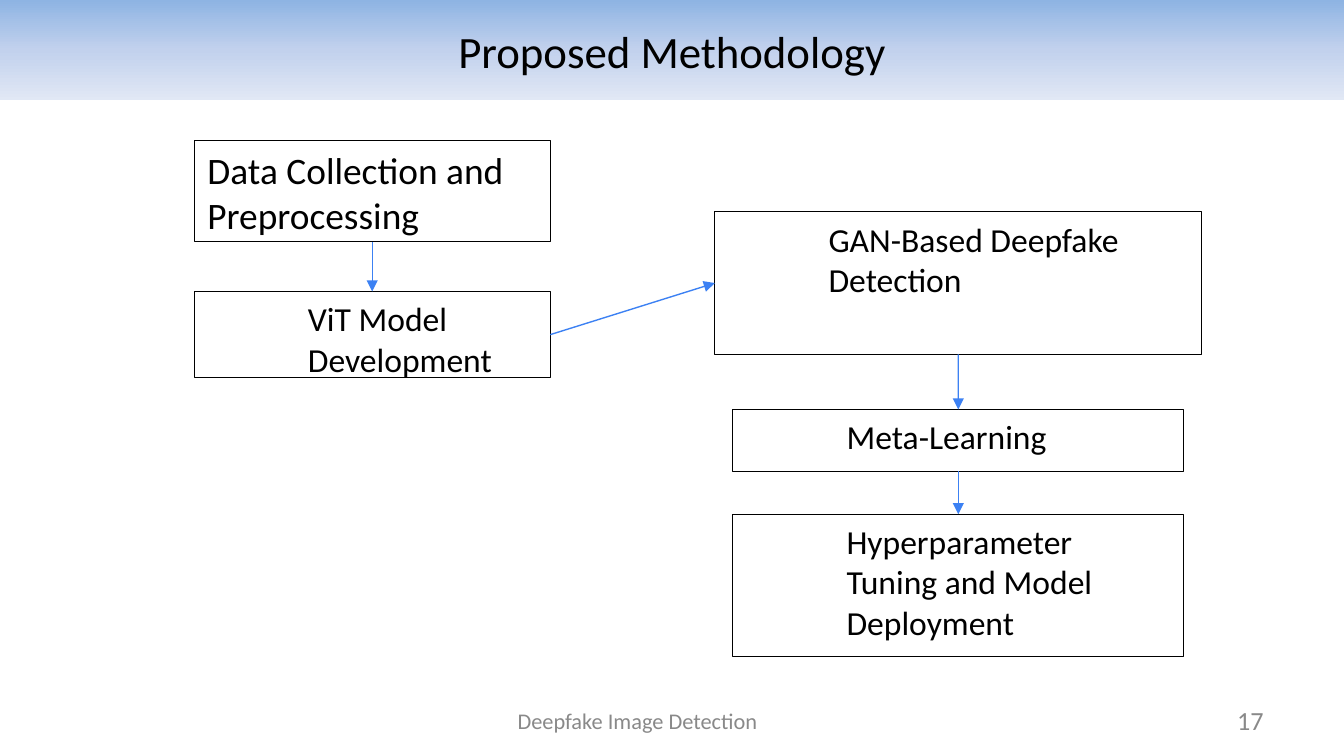
from dataclasses import dataclass

from lxml import etree
from pptx import Presentation
from pptx.dml.color import RGBColor
from pptx.enum.shapes import MSO_CONNECTOR, MSO_SHAPE
from pptx.enum.text import MSO_ANCHOR, PP_ALIGN
from pptx.oxml.ns import qn
from pptx.util import Cm, Pt

RECTANGLE = MSO_SHAPE.RECTANGLE
STRAIGHT = MSO_CONNECTOR.STRAIGHT
TOP, MIDDLE = MSO_ANCHOR.TOP, MSO_ANCHOR.MIDDLE
LEFT, CENTER, RIGHT = PP_ALIGN.LEFT, PP_ALIGN.CENTER, PP_ALIGN.RIGHT
SITE_TOP, SITE_LEFT, SITE_BOTTOM, SITE_RIGHT = range(4)


@dataclass(frozen=True)
class Theme:
    font: str = "Calibri"
    text: str = "000000"
    muted: str = "898989"
    box: str = "FFFFFF"
    arrow: str = "3C81F3"
    band: tuple = ((0, "8EB4E3"), (50, "C2D1ED"), (100, "E1E8F5"))
    title_size: int = 24
    lead_size: int = 20
    step_size: int = 18
    number_size: int = 14
    footer_size: int = 12
    box_line: float = 0.5
    arrow_line: float = 0.75


THEME = Theme()


def color(value):
    return RGBColor.from_string(value)


def write(shape, text, size, text_color=THEME.text, align=LEFT, anchor=TOP):
    frame = shape.text_frame
    frame.word_wrap = True
    frame.vertical_anchor = anchor
    frame.margin_left = Cm(0.25)
    frame.margin_right = Cm(0.35)
    frame.margin_top = frame.margin_bottom = Cm(0.13)
    if align != LEFT:
        frame.margin_right = Cm(0.25)
    paragraph = frame.paragraphs[0]
    paragraph.text = text
    paragraph.alignment = align
    paragraph.font.name = THEME.font
    paragraph.font.size = Pt(size)
    paragraph.font.color.rgb = color(text_color)
    return paragraph


def add_rectangle(slide, box):
    shape = slide.shapes.add_shape(RECTANGLE, *map(Cm, box))
    shape.shadow.inherit = False
    return shape


def add_title(slide, box, text):
    band = add_rectangle(slide, box)
    band.line.fill.background()
    band.fill.gradient()
    band.fill.gradient_angle = 270  # top to bottom
    stops = band.fill._xPr.find(qn("a:gradFill")).find(qn("a:gsLst"))
    for stop in list(stops):
        stops.remove(stop)
    for percent, value in THEME.band:
        stop = etree.SubElement(stops, qn("a:gs"), pos=str(percent * 1000))
        etree.SubElement(stop, qn("a:srgbClr"), val=value)
    write(band, text, THEME.title_size, align=CENTER, anchor=MIDDLE)


def add_step(slide, box, text, size=THEME.step_size, indent=1.9):
    step = add_rectangle(slide, box)
    step.fill.solid()
    step.fill.fore_color.rgb = color(THEME.box)
    step.line.color.rgb = color(THEME.text)
    step.line.width = Pt(THEME.box_line)
    paragraph = write(step, text, size)
    properties = paragraph._p.get_or_add_pPr()
    properties.set("marL", str(Cm(indent)))
    properties.set("indent", "0")
    return step


def add_arrow(slide, start, start_site, end, end_site):
    arrow = slide.shapes.add_connector(STRAIGHT, 0, 0, 0, 0)
    arrow.begin_connect(start, start_site)
    arrow.end_connect(end, end_site)
    arrow.line.color.rgb = color(THEME.arrow)
    arrow.line.width = Pt(THEME.arrow_line)
    etree.SubElement(arrow.line._get_or_add_ln(), qn("a:tailEnd"), type="triangle")
    etree.SubElement(arrow._element.spPr, qn("a:effectLst"))


def add_flow(slide, box):
    left, top, width, height = box
    right = left + width
    center = right - 4.6  # axis of the right column

    # Left column
    collection = add_step(slide, (left, top, 6.73, 1.91),
                          "Data Collection and Preprocessing",
                          THEME.lead_size, indent=0)
    vit = add_step(slide, (left, top + 2.85, 6.73, 1.63), "ViT Model Development")

    # Right column
    gan = add_step(slide, (center - 4.6, top + 1.34, 9.2, 2.7),
                   "GAN-Based Deepfake Detection")
    meta = add_step(slide, (center - 4.26, top + 5.08, 8.52, 1.17), "Meta-Learning")
    tuning = add_step(slide, (center - 4.26, top + height - 2.69, 8.52, 2.69),
                      "Hyperparameter Tuning and Model Deployment")

    # Arrows
    add_arrow(slide, vit, SITE_RIGHT, gan, SITE_LEFT)
    for upper, lower in ((collection, vit), (gan, meta), (meta, tuning)):
        add_arrow(slide, upper, SITE_BOTTOM, lower, SITE_TOP)


def add_footer(slide, box):
    left, top, width, height = box
    parts = (
        ("17", left + width - 5.92, 5.92, THEME.number_size, RIGHT),
        ("Deepfake Image Detection", left, 19.94, THEME.footer_size, CENTER),
    )
    for text, x, part_width, size, align in parts:
        part = slide.shapes.add_textbox(Cm(x), Cm(top), Cm(part_width), Cm(height))
        write(part, text, size, THEME.muted, align, MIDDLE)


def main():
    presentation = Presentation()
    presentation.slide_width = Cm(25.4)
    presentation.slide_height = Cm(14.29)
    slide = presentation.slides.add_slide(presentation.slide_layouts[6])
    add_title(slide, (0, 0, 25.4, 1.9), "Proposed Methodology")
    add_flow(slide, (3.67, 2.66, 19.04, 9.75))
    add_footer(slide, (2.08, 13.24, 22.05, 0.76))
    presentation.save("out.pptx")


if __name__ == "__main__":
    main()
